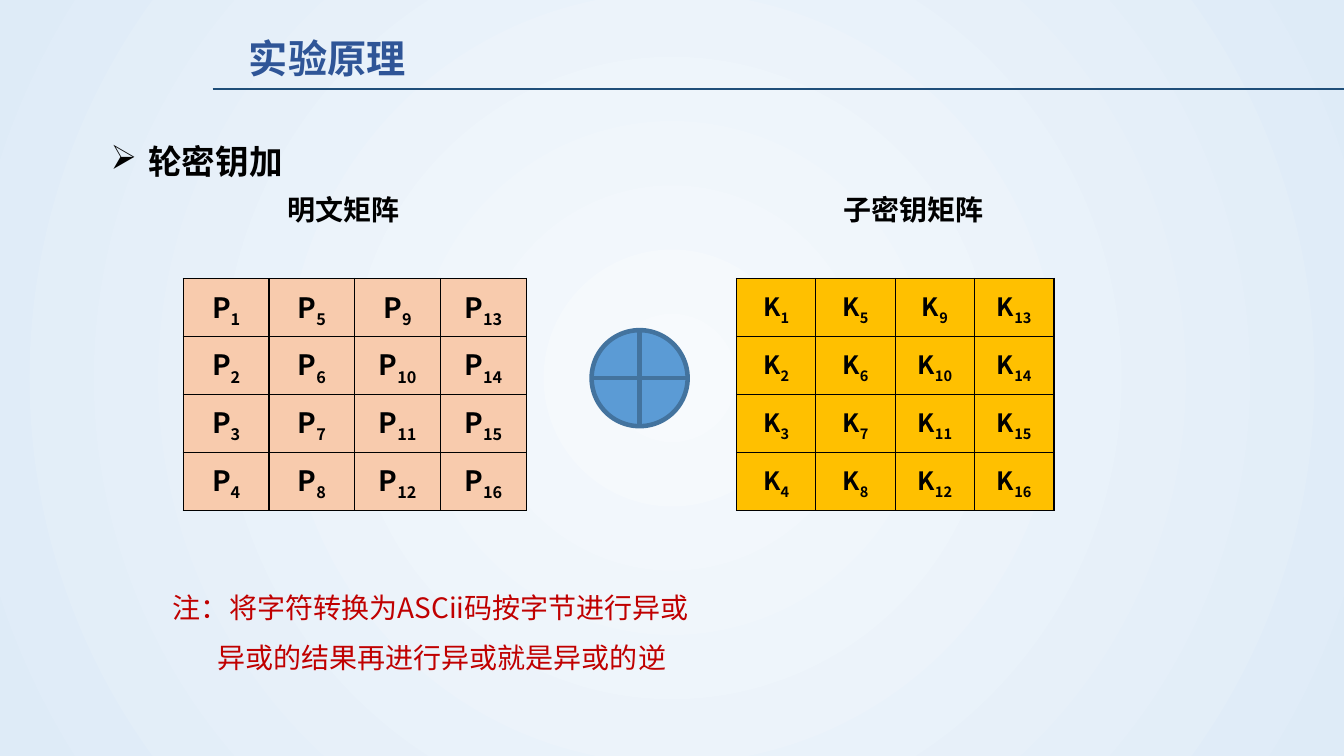
import pptx
import pptx.util
import pptx.dml.color
import pptx.enum.shapes
import pptx.enum.text
import pptx.oxml
import pptx.oxml.ns
import lxml.etree

Cm, Pt = pptx.util.Cm, pptx.util.Pt
RGB = pptx.dml.color.RGBColor
qn = pptx.oxml.ns.qn
ALIGN = pptx.enum.text.PP_ALIGN
ANCHOR = pptx.enum.text.MSO_ANCHOR

FONT = "Noto Sans CJK SC"
BLACK = RGB(0x00, 0x00, 0x00)
RED = RGB(0xC0, 0x00, 0x00)
NAVY = RGB(0x1F, 0x4E, 0x79)
INDIGO = RGB(0x2F, 0x55, 0x97)
BLUE = RGB(0x5B, 0x9B, 0xD5)
RIM = RGB(0x43, 0x73, 0x9E)
PEACH = RGB(0xF8, 0xCB, 0xAD)
GOLD = RGB(0xFF, 0xC0, 0x00)
PALE = RGB(0xF7, 0xFA, 0xFD)
SKY = RGB(0xDE, 0xEB, 0xF7)


def add(parent, tag, **attrs):
    return lxml.etree.SubElement(parent, qn(tag), attrs)


def style(para, size, color=BLACK, bold=True):
    font = para.font
    font.name, font.size, font.bold = FONT, Pt(size), bold
    font.color.rgb = color
    add(para._p.pPr.find(qn("a:defRPr")), "a:ea", typeface=FONT)


def add_text(slide, box, lines, size, color=BLACK, bold=True, space=None):
    frame = slide.shapes.add_textbox(*map(Cm, box)).text_frame
    frame.word_wrap = True
    frame.text = "\n".join(lines)
    for para in frame.paragraphs:
        style(para, size, color, bold)
        para.line_spacing = space
    return frame.paragraphs


def indent(para, left, first):
    para._p.pPr.set("marL", str(Cm(left)))
    para._p.pPr.set("indent", str(Cm(first)))


def paint_back(slide):
    fill = slide.background.fill
    fill.gradient()
    for stop, color in zip(fill.gradient_stops, (PALE, SKY)):
        stop.color.rgb = color
    # Radial spread from the centre
    lin = next(slide.background._cSld.iter(qn("a:lin")))
    grad = lin.getparent()
    grad.remove(lin)
    ring = add(grad, "a:path")
    ring.set("path", "circle")
    add(ring, "a:fillToRect", l="50000", t="50000", r="50000", b="50000")


def add_head(slide, box, text):
    left, top, width, height = box
    title = slide.shapes.title
    title.left, title.top = Cm(left), Cm(top)
    title.width, title.height = Cm(width), Cm(height)
    frame = title.text_frame
    frame.text = text
    frame.auto_size = pptx.enum.text.MSO_AUTO_SIZE.NONE
    frame.vertical_anchor = ANCHOR.TOP
    para = frame.paragraphs[0]
    para.alignment = ALIGN.LEFT
    style(para, 28, INDIGO)
    # Rule below the title, out to the slide edge
    rule_y = Cm(top + 1.5)
    rule = slide.shapes.add_connector(
        pptx.enum.shapes.MSO_CONNECTOR.STRAIGHT,
        Cm(left - 0.66), rule_y, Cm(33.87), rule_y)
    rule.line.color.rgb = NAVY
    rule.line.width = Pt(1.25)
    add(rule._element.spPr, "a:effectLst")


def add_topic(slide, box, text):
    para = add_text(slide, box, [text], 24, space=1.5)[0]
    indent(para, 0.95, -0.95)
    mark = lxml.etree.Element(qn("a:buChar"), char="➢")
    para._p.pPr.find(qn("a:defRPr")).addprevious(mark)


def fill_cell(cell, letter, number, size, color):
    cell.fill.solid()
    cell.fill.fore_color.rgb = color
    cell.vertical_anchor = ANCHOR.MIDDLE
    para = cell.text_frame.paragraphs[0]
    para.alignment = ALIGN.CENTER
    style(para, size)
    para.add_run().text = letter
    low = para.add_run()
    low.text = str(number)
    low._r.get_or_add_rPr().set("baseline", "-25000")
    # Borders come before the fill
    props = cell._tc.get_or_add_tcPr()
    for spot, side in enumerate(("a:lnL", "a:lnR", "a:lnT", "a:lnB")):
        line = lxml.etree.Element(qn(side), w=str(Pt(1)))
        add(add(line, "a:solidFill"), "a:srgbClr", val=str(BLACK))
        props.insert(spot, line)


def add_grid(slide, box, letter, size, color, count=4):
    table = slide.shapes.add_table(count, count, *map(Cm, box)).table
    table.first_row = table.horz_banding = False
    for index in range(count):
        table.columns[index].width = Cm(box[2] / count)
        table.rows[index].height = Cm(box[3] / count)
    # Numbers run down each column
    for col in range(count):
        for row in range(count):
            number = col * count + row + 1
            fill_cell(table.cell(row, col), letter, number, size, color)


def add_xor(slide, box):
    sign = slide.shapes.add_shape(
        pptx.enum.shapes.MSO_SHAPE.FLOWCHART_OR, *map(Cm, box))
    sign.shadow.inherit = False
    sign.fill.solid()
    sign.fill.fore_color.rgb = BLUE
    sign.line.color.rgb = RIM
    sign.line.width = Pt(3.25)


def add_note(slide, box, lines):
    paras = add_text(slide, box, lines, 20, RED, False, 1.5)
    indent(paras[1], 0, 1.12)


def main():
    deck = pptx.Presentation()
    deck.slide_width, deck.slide_height = Cm(33.87), Cm(19.05)
    slide = deck.slides.add_slide(deck.slide_layouts[5])
    paint_back(slide)
    add_head(slide, (6.02, 0.74, 7.72, 1.45), "实验原理")
    add_topic(slide, (2.54, 2.92, 5, 1.63), "轮密钥加")

    # Plain text matrix, XOR sign, subkey matrix
    add_text(slide, (6.99, 4.72, 3.6, 1.12), ["明文矩阵"], 20)
    add_text(slide, (21.01, 4.72, 4.1, 1.12), ["子密钥矩阵"], 20)
    add_grid(slide, (4.62, 7.02, 8.64, 5.84), "P", 20, PEACH)
    add_xor(slide, (14.91, 8.32, 2.42, 2.42))
    add_grid(slide, (18.56, 7.02, 8, 5.84), "K", 18, GOLD)

    add_note(slide, (4.11, 14.33, 13.69, 2.67), [
        "注：将字符转换为ASCii码按字节进行异或",
        "异或的结果再进行异或就是异或的逆"])
    deck.save("out.pptx")


if __name__ == "__main__":
    main()
